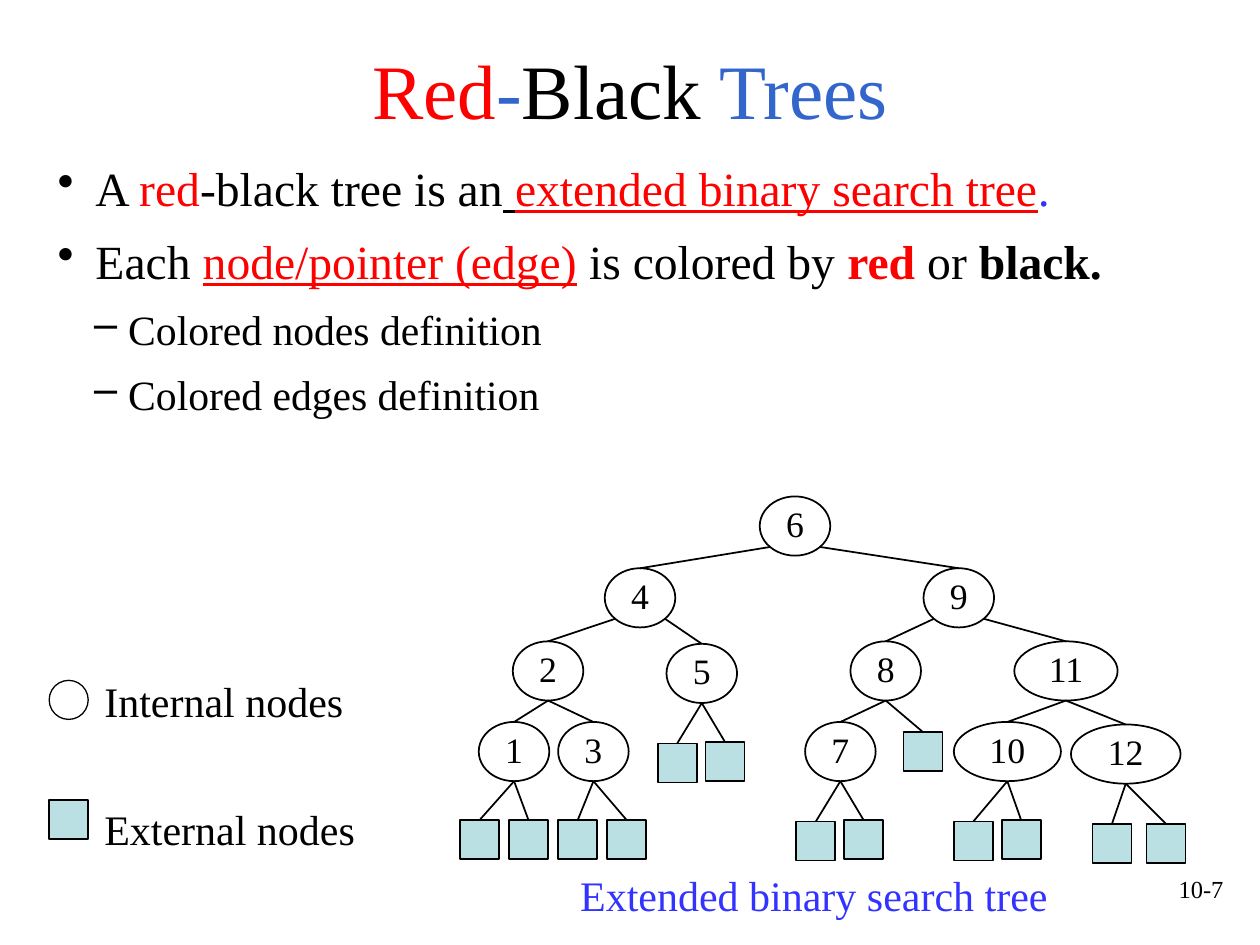
from math import sqrt

from lxml import etree
from pptx import Presentation
from pptx.dml.color import RGBColor
from pptx.enum.shapes import MSO_CONNECTOR, MSO_SHAPE
from pptx.enum.text import MSO_ANCHOR, MSO_AUTO_SIZE, PP_ALIGN
from pptx.oxml.ns import qn
from pptx.util import Inches, Pt

OVAL, RECT = MSO_SHAPE.OVAL, MSO_SHAPE.RECTANGLE
STRAIGHT = MSO_CONNECTOR.STRAIGHT
LEFT, CENTER, RIGHT = PP_ALIGN.LEFT, PP_ALIGN.CENTER, PP_ALIGN.RIGHT
MIDDLE, BOTTOM = MSO_ANCHOR.MIDDLE, MSO_ANCHOR.BOTTOM
FIXED, GROW = MSO_AUTO_SIZE.NONE, MSO_AUTO_SIZE.SHAPE_TO_FIT_TEXT

BLACK = RGBColor(0x00, 0x00, 0x00)
RED = RGBColor(0xFF, 0x00, 0x00)
BLUE = RGBColor(0x33, 0x66, 0xCC)
VIOLET = RGBColor(0x33, 0x33, 0xFF)
TEAL = RGBColor(0xBB, 0xE0, 0xE3)

FACE = "Times New Roman"
NODE_W, NODE_H, LEAF = 0.56, 0.47, 0.31
UNDER, BOLD = {"underline": True}, {"bold": True}

TITLE = [("Red", RED), ("-", BLUE), ("Black", BLACK), (" Trees", BLUE)]
POINTS = [
    (0, 0, [("A ", BLACK), ("red", RED), ("-black tree is an", BLACK), (" ", BLACK, UNDER),
            ("extended binary search tree", RED, UNDER), (".", VIOLET)]),
    (0, 9, [("Each ", BLACK), ("node/pointer (edge)", RED, UNDER), (" is colored by ", BLACK),
            ("red", RED, BOLD), (" or ", BLACK), ("black.", BLACK, BOLD)]),
    (1, 8.5, [("Colored nodes definition", BLACK)]),
    (1, 8.5, [("Colored edges definition", BLACK)]),
]
LEVELS = [("•", 27.2, 0.3, -0.3), ("–", 23.8, 0.56, -0.27)]

NODES = {
    "6": (6.03, 3.94, NODE_W),
    "4": (4.8, 4.51, NODE_W), "9": (7.33, 4.51, NODE_W),
    "2": (4.07, 5.09, NODE_W), "5": (5.29, 5.11, NODE_W),
    "8": (6.75, 5.09, NODE_W), "11": (8.05, 5.09, 0.82),
    "1": (3.8, 5.73, NODE_W), "3": (4.43, 5.73, NODE_W), "7": (6.39, 5.73, NODE_W),
    "10": (7.57, 5.73, 0.85), "12": (8.5, 5.75, 0.87),
}
LEAVES = {
    "1a": (3.65, 6.51), "1b": (4.04, 6.51), "3a": (4.43, 6.51), "3b": (4.82, 6.51),
    "5a": (5.22, 5.9), "5b": (5.6, 5.89), "7a": (6.32, 6.52), "7b": (6.7, 6.51),
    "8b": (7.17, 5.81), "10a": (7.57, 6.52), "10b": (7.95, 6.51),
    "12a": (8.67, 6.54), "12b": (9.1, 6.54),
}
TREE = {
    "6": ("4", "9"), "4": ("2", "5"), "9": ("8", "11"),
    "2": ("1", "3"), "5": ("5a", "5b"), "8": ("7", "8b"), "11": ("10", "12"),
    "1": ("1a", "1b"), "3": ("3a", "3b"), "7": ("7a", "7b"),
    "10": ("10a", "10b"), "12": ("12a", "12b"),
}
WIDE = ("6", "4", "9")


def style(item, form):
    """Set each attribute of an item from a dict."""
    for name, value in form.items():
        setattr(item, name, value)


def add_run(para, size, text, color, form=None):
    """Add one formatted run to a paragraph."""
    run = para.add_run()
    run.text = text
    style(run.font, {"name": FACE, "size": Pt(size), **(form or {})})
    run.font.color.rgb = color


def add_label(shapes, at, text, size, color=BLACK, align=LEFT, fit=GROW):
    """Add a text box with one line."""
    box = shapes.add_textbox(*map(Inches, at))
    style(box.text_frame, {"word_wrap": True, "auto_size": fit})
    para = box.text_frame.paragraphs[0]
    para.alignment = align
    add_run(para, size, text, color)


def add_mark(shapes, kind, at, line=1):
    """Add a hollow oval or a filled square."""
    mark = shapes.add_shape(kind, *map(Inches, at))
    mark.shadow.inherit = False
    if kind == OVAL:
        mark.fill.background()
    else:
        mark.fill.solid()
        mark.fill.fore_color.rgb = TEAL
    mark.line.color.rgb = BLACK
    mark.line.width = Pt(line)
    return mark


def add_node(shapes, key):
    """Add an internal node with its key."""
    left, top, width = NODES[key]
    node = add_mark(shapes, OVAL, (left, top, width, NODE_H))
    node.text_frame.vertical_anchor = MIDDLE
    para = node.text_frame.paragraphs[0]
    style(para, {"alignment": CENTER, "line_spacing": 0.9})
    add_run(para, 20.4, key, BLACK)
    return node


def add_edge(shapes, key, side, child):
    """Join a node to the top of its child; side is -1 or 1."""
    left, top, width = NODES[key]
    reach = sqrt(0.5) / 2
    if key in WIDE:
        x, y = left + width * (0.5 + side * reach), top + NODE_H * (0.5 + reach)
    else:
        x, y = left + width / 2, top + NODE_H
    edge = shapes.add_connector(STRAIGHT, Inches(x), Inches(y),
                                child.left + child.width // 2, child.top)
    edge.end_connect(child, 0)
    edge.line.color.rgb = BLACK
    edge.line.width = Pt(1)
    etree.SubElement(edge._element.spPr, qn("a:effectLst"))


def add_tree(shapes):
    """Draw the nodes, the leaves and the edges between them."""
    marks = {key: add_node(shapes, key) for key in NODES}
    for name, (left, top) in LEAVES.items():
        marks[name] = add_mark(shapes, RECT, (left, top, LEAF, LEAF))
    for key, pair in TREE.items():
        for side, name in zip((-1, 1), pair):
            add_edge(shapes, key, side, marks[name])
    add_label(shapes, (4.35, 6.85, 4.22, 0.5), "Extended binary search tree", 24, VIOLET, CENTER)


def add_legend(shapes):
    """Explain the two kinds of node."""
    for text, top, kind, spot, line in (("External nodes", 6.33, RECT, 6.35, 1),
                                        ("Internal nodes", 5.31, OVAL, 5.4, 0.75)):
        add_label(shapes, (0.73, top, 2.3, 0.5), text, 24)
        add_mark(shapes, kind, (0.39, spot, LEAF, LEAF), line)


def add_title(slide):
    """Place and fill the title."""
    title = slide.shapes.title
    style(title, dict(zip(("left", "top", "width", "height"), map(Inches, (0.5, 0.3, 9, 0.77)))))
    frame = title.text_frame
    style(frame, {"vertical_anchor": BOTTOM, "auto_size": FIXED, "margin_left": 0,
                  "margin_right": 0, "margin_top": Inches(0.05), "margin_bottom": 0})
    frame.paragraphs[0].alignment = CENTER
    for part in TITLE:
        add_run(frame.paragraphs[0], 44, *part)


def add_points(shapes):
    """Add the bulleted text."""
    frame = shapes.add_textbox(*map(Inches, (0.36, 1.21, 9, 2.63))).text_frame
    frame.word_wrap = True
    for i, (level, gap, parts) in enumerate(POINTS):
        para = frame.add_paragraph() if i else frame.paragraphs[0]
        char, size, margin, indent = LEVELS[level]
        style(para, {"level": level, "space_before": Pt(gap)})
        props = para._p.get_or_add_pPr()
        props.set("marL", str(Inches(margin)))
        props.set("indent", str(Inches(indent)))
        tint = etree.SubElement(props, qn("a:buClr"))
        etree.SubElement(tint, qn("a:srgbClr"), val=str(BLACK))
        etree.SubElement(props, qn("a:buChar"), char=char)
        for part in parts:
            add_run(para, size, *part)


def main():
    """Build and save the slide."""
    deck = Presentation()
    style(deck, {"slide_width": Inches(10), "slide_height": Inches(7.5)})
    slide = deck.slides.add_slide(deck.slide_layouts[5])
    add_title(slide)
    add_points(slide.shapes)
    add_tree(slide.shapes.add_group_shape().shapes)
    add_legend(slide.shapes.add_group_shape().shapes)
    add_label(slide.shapes, (7.48, 6.89, 2.33, 0.52), "10-7", 14, align=RIGHT, fit=FIXED)
    deck.save("out.pptx")


if __name__ == "__main__":
    main()
